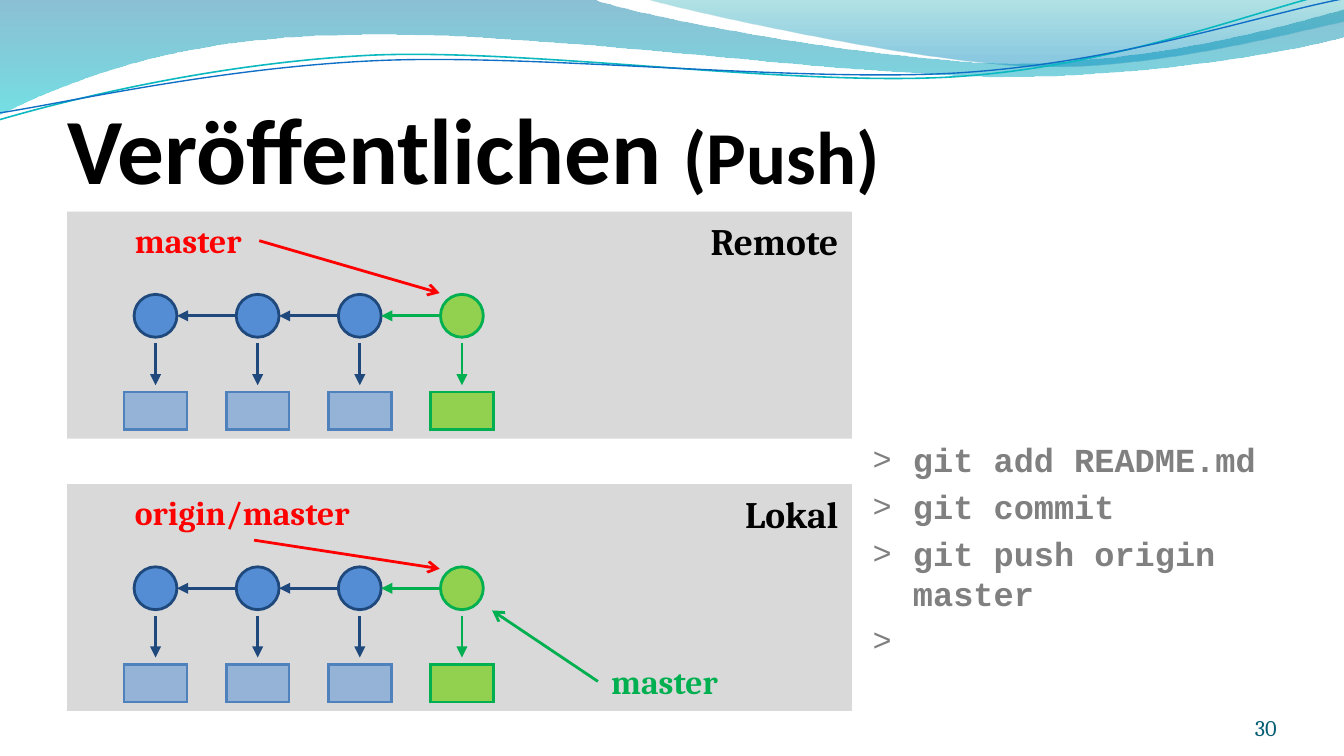
from math import cos, radians, sin

from lxml import etree
from pptx import Presentation
from pptx.dml.color import RGBColor
from pptx.enum.shapes import MSO_CONNECTOR, MSO_SHAPE
from pptx.enum.text import MSO_ANCHOR, MSO_AUTO_SIZE, PP_ALIGN
from pptx.oxml import parse_xml
from pptx.oxml.ns import nsdecls, qn
from pptx.util import Cm, Pt

LEFT, RIGHT = PP_ALIGN.LEFT, PP_ALIGN.RIGHT
TOP, BOTTOM = MSO_ANCHOR.TOP, MSO_ANCHOR.BOTTOM
NO_FIT = MSO_AUTO_SIZE.NONE
OVAL, RECTANGLE = MSO_SHAPE.OVAL, MSO_SHAPE.RECTANGLE
STRAIGHT = MSO_CONNECTOR.STRAIGHT

COLORS = {
    "black": "000000", "panel": "D9D9D9", "code": "808080", "number": "045D75",
    "red": "FF0000", "green": "00B050", "lime": "92D050", "navy": "1F497D",
    "commit": "548DD4", "file": "95B3D7", "file edge": "4F81BD",
    "teal line": "0AB8BF", "blue line": "0F6FC6",
}

# Content
TITLE = [("Veröffentlichen ", 50), ("(Push)", 40)]
COMMANDS = ["git add README.md", "git commit", "git push origin master", " "]
PANELS = [("Remote", 1, 4.0), ("Lokal", 3, 9.15)]  # text, placeholder, top
LABELS = [  # text, color, box, arrow start, arrow end (cm)
    ("master", "red", (2.3, 4.04, 2.59, 1.02), (4.9, 4.55), (8.31, 5.54)),
    ("origin/master", "red", (2.3, 9.17, 5.0, 1.02), (4.8, 10.21), (8.31, 10.75)),
    ("master", "green", (11.3, 12.37, 2.59, 1.02), (11.3, 12.88), (9.3, 11.54)),
]

# Commit graph geometry in cm, vertical values relative to the panel top
FIRST_CENTER, STEP, COMMIT_COUNT = 2.94, 1.93, 4
DIAMETER, CIRCLE_MIDDLE = 0.81, 1.97
DOWN_START, DOWN_END = 2.49, 3.28
FILE_TOP, FILE_WIDTH, FILE_HEIGHT = 3.41, 1.19, 0.71

# Header waves: ten units span the slide width; six numbers make a curve
WAVE_UNIT = 2.54
STRAND_TILT = -2.7
BANDS = [  # start, segments, gradient stops (position, color, opacity)
    ((0, 0), [(4.4, -0.01), (4.76, 0.13, 6.64, 0.47, 7.58, 0.47),
              (8.53, 0.47, 9.58, 0.19, 10, 0.07), (10.01, 0.27),
              (9.83, 0.33, 8.7, 0.57, 7.46, 0.57),
              (6.22, 0.56, 3.82, 0.21, 2.57, 0.26),
              (1.29, 0.27, 0.46, 0.62, -0.01, 0.85), (0, 0)],
     [(0, "0074A1", 45), (100, "00C6CF", 55)]),
    ((4.79, -0.01), [(5.09, 0.08, 6.82, 0.46, 7.69, 0.49),
                     (8.56, 0.52, 9.61, 0.24, 10, 0.16), (10, 0), (4.79, -0.01)],
     [(0, "00A1A9", 30), (80, "008BBF", 45)]),
]
STRANDS = [  # start, segments, center, color, line width
    ((0, 0.89), [(0.48, 0.75, 1.58, 0.47, 2.77, 0.41),
                 (3.96, 0.36, 5.92, 0.65, 7.12, 0.57),
                 (8.33, 0.49, 9.39, 0.06, 9.98, -0.07)], (4.99, 0.43), "teal line", 0.85),
    ((0, 0.84), [(0.47, 0.77, 1.64, 0.5, 2.83, 0.45),
                 (4.03, 0.4, 5.97, 0.62, 7.17, 0.54),
                 (8.36, 0.46, 9.41, 0.1, 10, -0.01)], (5, 0.44), "blue line", 0.75),
]


def rgb(name):
    return RGBColor.from_string(COLORS[name])


def apply(target, **values):
    for name, value in values.items():
        setattr(target, name, value)


def place(shape, left, top, width, height):
    apply(shape, left=Cm(left), top=Cm(top), width=Cm(width), height=Cm(height))


def add_text(paragraph, text, size, font, color, bold=True):
    run = paragraph.add_run()
    run.text = text
    apply(run.font, size=Pt(size), name=font, bold=bold)
    run.font.color.rgb = rgb(color)


def set_line(shape, color, width=1.5):
    shape.line.color.rgb = rgb(color)
    shape.line.width = Pt(width)
    return shape._element.spPr.find(qn("a:ln"))


def add_node(kind, center, top, width, height, fill, edge):
    shape = slide.shapes.add_shape(kind, Cm(center - width / 2), Cm(top), Cm(width), Cm(height))
    shape.shadow.inherit = False
    shape.fill.solid()
    shape.fill.fore_color.rgb = rgb(fill)
    etree.SubElement(set_line(shape, edge), qn("a:miter"), lim="800000")


def add_arrow(start, end, color, head="triangle"):
    arrow = slide.shapes.add_connector(STRAIGHT, *(Cm(value) for value in (*start, *end)))
    etree.SubElement(set_line(arrow, color), qn("a:tailEnd"), type=head)
    etree.SubElement(arrow._element.spPr, qn("a:effectLst"))


def turn(point, center, degrees):
    angle = radians(degrees)
    dx, dy = point[0] - center[0], point[1] - center[1]
    return (center[0] + dx * cos(angle) - dy * sin(angle),
            center[1] + dx * sin(angle) + dy * cos(angle))


def add_wave(start, segments, center=(0, 0), tilt=0, close=False):
    points = [start]
    for segment in segments:
        points += zip(segment[::2], segment[1::2])
    points = [turn(point, center, -tilt) for point in points]
    points = [(Cm(x * WAVE_UNIT), Cm(y * WAVE_UNIT)) for x, y in points]
    builder = slide.shapes.build_freeform(*points[0])
    builder.add_line_segments(points[1:], close=close)
    wave = builder.convert_to_shape()
    # Join each three-point segment into one Bézier curve
    steps = iter(list(wave._element.iter(qn("a:lnTo"))))
    for segment in segments:
        first = next(steps)
        if len(segment) == 6:
            first.tag = qn("a:cubicBezTo")
            for extra in (next(steps), next(steps)):
                first.append(extra[0])
                extra.getparent().remove(extra)
    wave.rotation = tilt
    wave.shadow.inherit = False
    wave.fill.background()
    return wave


presentation = Presentation()
presentation.slide_width, presentation.slide_height = Cm(25.4), Cm(14.29)
slide = presentation.slides.add_slide(presentation.slide_layouts[4])
placeholders = {item.placeholder_format.idx: item for item in slide.placeholders}
unused = placeholders[4]._element
unused.getparent().remove(unused)

# Header waves, kept behind the placeholders
waves = []
for start, segments, stops in BANDS:
    wave = add_wave(start, segments, close=True)
    wave.line.fill.background()
    stop_xml = "".join(
        f'<a:gs pos="{position * 1000}"><a:srgbClr val="{color}">'
        f'<a:alpha val="{opacity * 1000}"/></a:srgbClr></a:gs>'
        for position, color, opacity in stops)
    gradient = parse_xml(f'<a:gradFill {nsdecls("a")} rotWithShape="1"><a:gsLst>{stop_xml}'
                         '</a:gsLst><a:lin ang="5400000" scaled="0"/></a:gradFill>')
    properties = wave._element.spPr
    properties.replace(properties.find(qn("a:noFill")), gradient)
    waves.append(wave)
for start, segments, center, color, width in STRANDS:
    wave = add_wave(start, segments, center, STRAND_TILT)
    set_line(wave, color, width)
    waves.append(wave)
for position, wave in enumerate(waves):
    slide.shapes._spTree.insert(2 + position, wave._element)

# Title
title = slide.shapes.title
place(title, 1.27, 1.45, 22.86, 2.39)
apply(title.text_frame, vertical_anchor=BOTTOM, auto_size=NO_FIT, margin_left=0,
      margin_right=0, margin_top=Cm(0.13), margin_bottom=0)
paragraph = title.text_frame.paragraphs[0]
paragraph.alignment = LEFT
for text, size in TITLE:
    add_text(paragraph, text, size, "Calibri", "black")

# Panels with their commit graphs
for text, index, top in PANELS:
    panel = placeholders[index]
    place(panel, 1.27, top, 14.83, 4.29)
    panel.fill.solid()
    panel.fill.fore_color.rgb = rgb("panel")
    apply(panel.text_frame, vertical_anchor=TOP, auto_size=NO_FIT)
    paragraph = panel.text_frame.paragraphs[0]
    apply(paragraph, alignment=RIGHT, space_before=Pt(4))
    add_text(paragraph, text, 20, "Cambria", "black")

    middle = top + CIRCLE_MIDDLE
    for number in range(COMMIT_COUNT):
        center = FIRST_CENTER + number * STEP
        newest = number == COMMIT_COUNT - 1
        edge = "green" if newest else "navy"
        if number:
            add_arrow((center - DIAMETER / 2, middle),
                      (center - STEP + DIAMETER / 2, middle), edge)
        add_node(OVAL, center, middle - DIAMETER / 2, DIAMETER, DIAMETER,
                 "lime" if newest else "commit", edge)
        add_arrow((center, top + DOWN_START), (center, top + DOWN_END), edge)
        add_node(RECTANGLE, center, top + FILE_TOP, FILE_WIDTH, FILE_HEIGHT,
                 "lime" if newest else "file", "green" if newest else "file edge")

# Branch labels and their pointers
for text, color, box, start, end in LABELS:
    label = slide.shapes.add_textbox(*(Cm(value) for value in box))
    label.text_frame.word_wrap = False
    add_text(label.text_frame.paragraphs[0], text, 18, "Cambria", color)
    add_arrow(start, end, color, "arrow")

# Command list
commands = placeholders[2]
place(commands, 16.24, 8.17, 7.95, 5.21)
apply(commands.text_frame, vertical_anchor=TOP, auto_size=NO_FIT)
for number, command in enumerate(COMMANDS):
    frame = commands.text_frame
    paragraph = frame.add_paragraph() if number else frame.paragraphs[0]
    paragraph.space_before = Pt(3.6)
    add_text(paragraph, command, 18, "Courier New", "code")
    properties = paragraph._p.get_or_add_pPr()
    properties.set("marL", str(Cm(0.76)))
    properties.set("indent", str(-Cm(0.76)))
    etree.SubElement(properties, qn("a:buSzPct"), val="95000")
    etree.SubElement(properties, qn("a:buChar"), char=">")

# Slide number
number_box = slide.shapes.add_textbox(Cm(22.02), Cm(13.25), Cm(2.11), Cm(0.76))
apply(number_box.text_frame, word_wrap=True, vertical_anchor=BOTTOM, margin_left=0,
      margin_right=0, margin_top=0, margin_bottom=0)
paragraph = number_box.text_frame.paragraphs[0]
paragraph.alignment = RIGHT
add_text(paragraph, "30", 12, "Cambria", "number", False)

presentation.save("out.pptx")
